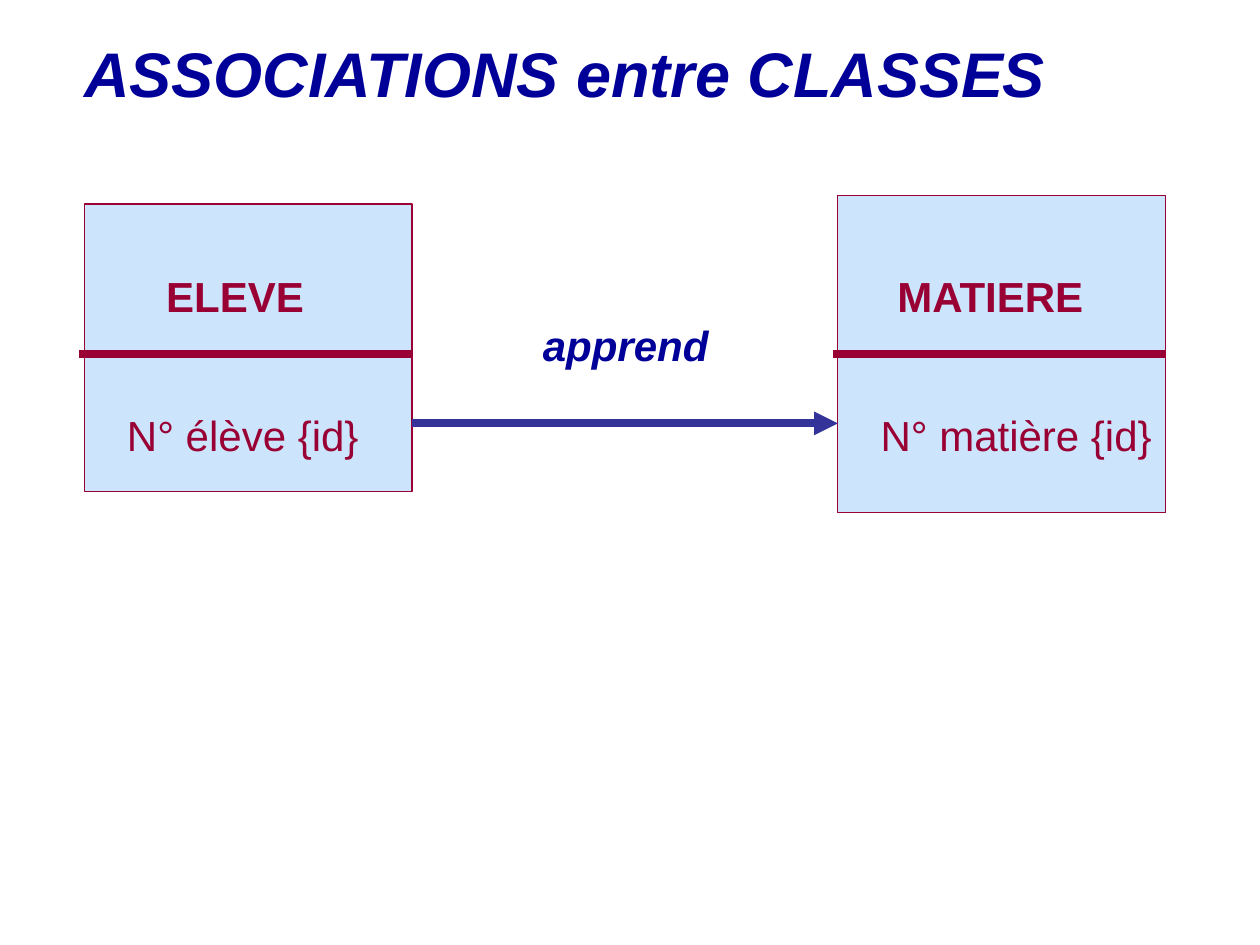
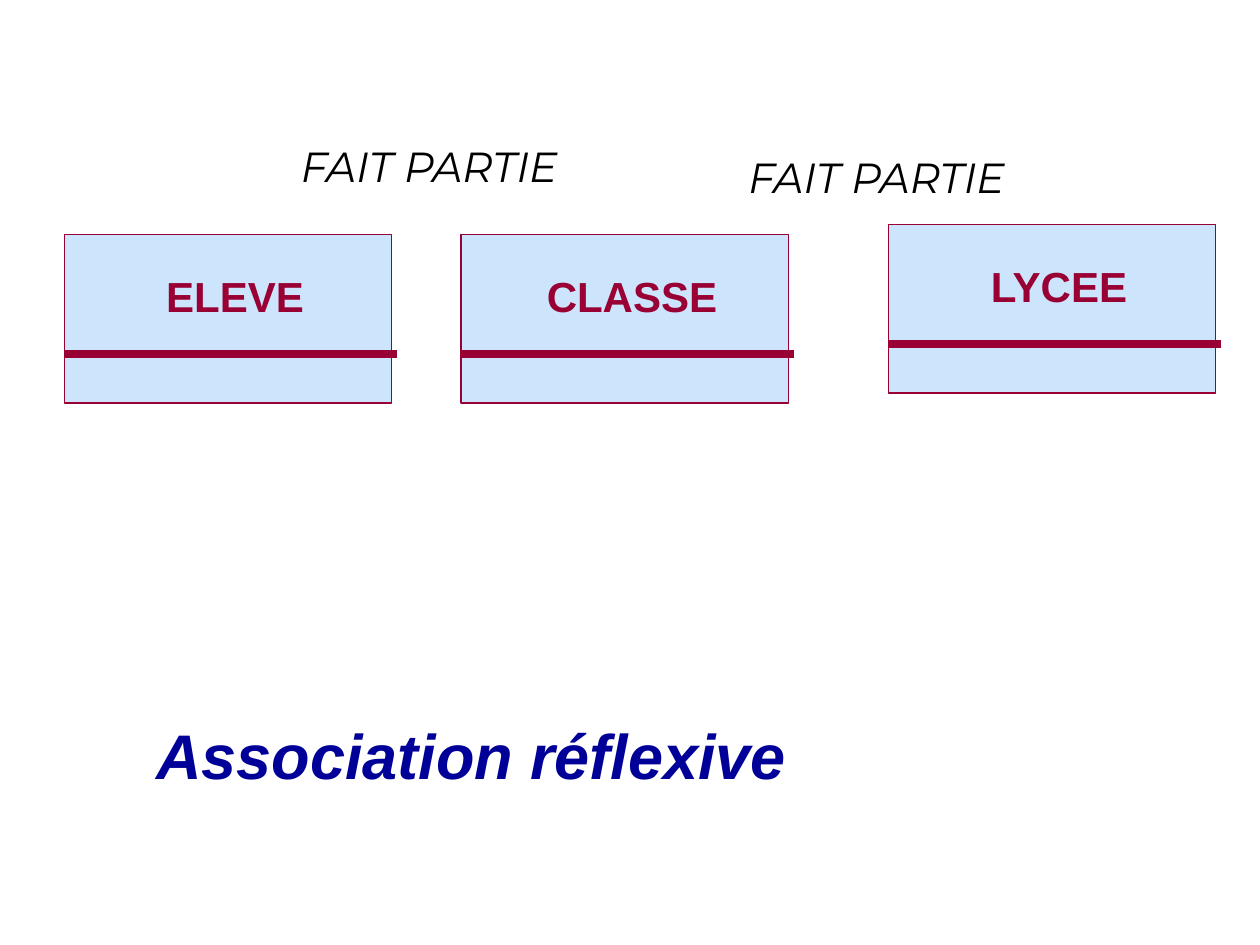
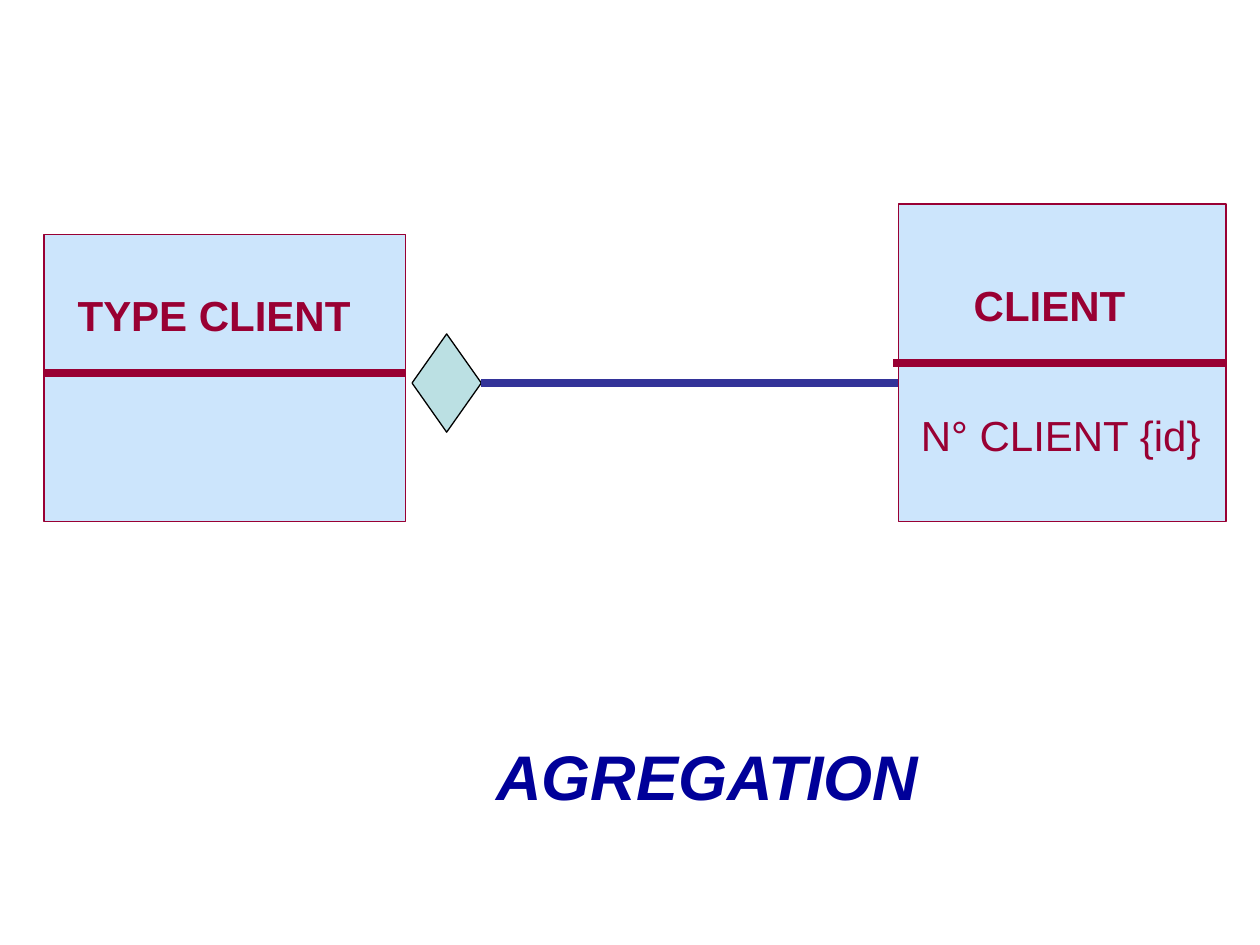
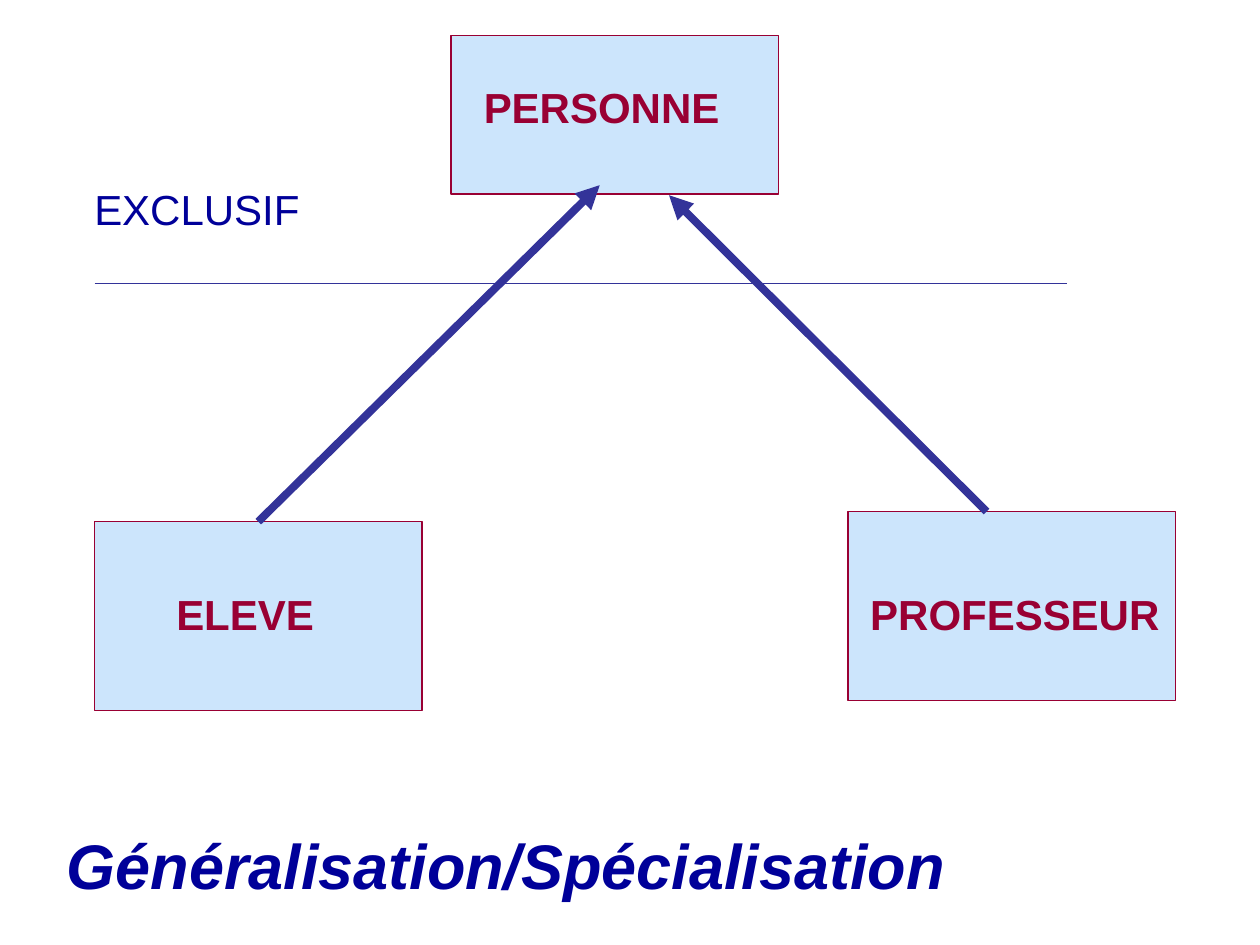
"""Build four slides of class diagrams: association, membership, aggregation, generalisation."""
from lxml import etree
from pptx import Presentation
from pptx import util as u
from pptx.dml.color import RGBColor
from pptx.enum import shapes, text
from pptx.oxml.ns import qn

COLORS = {"box": "CCE5FC", "class": "990033", "title": "000099",
          "link": "333399", "diamond": "BBE0E3", "black": "000000"}
TEXT_HEIGHT = {24: 0.5, 36: 0.7}
BOX_WIDTH = 2.6
OVERHANG = 0.04
NAME_ABOVE_DIVIDER = 0.71
ATTRIBUTE_TOP = 3.2
THICK, THIN = 4.5, 0.75

SLIDES = [
    {"title": ("ASSOCIATIONS entre CLASSES", 0.57, 0.22, 8.1),
     "classes": [
         {"name": ("ELEVE", 1.22, 1.29), "at": (0.67, 1.62), "height": 2.28,
          "divider": 2.81, "overhang": "left", "attribute": ("N° élève {id}", 0.91, 2.04)},
         {"name": ("MATIERE", 7.01, 1.7), "at": (6.65, 1.55), "height": 2.52,
          "divider": 2.81, "overhang": "left", "attribute": ("N° matière {id}", 6.89, 2.35)}],
     "links": [{"start": (3.27, 3.36), "end": (6.65, 3.36), "arrow": True}],
     "labels": [("apprend", 4.21, 2.49, 1.51, {"bold": True, "italic": True})]},
    {"title": ("Association réflexive", 1.14, 5.64, 5.4),
     "classes": [
         {"name": ("ELEVE", 1.22, 1.29), "at": (0.51, 1.86), "height": 1.34,
          "divider": 2.81, "overhang": "right"},
         {"name": ("CLASSE", 4.24, 1.55), "at": (3.66, 1.86), "height": 1.34,
          "divider": 2.81, "overhang": "right"},
         {"name": ("LYCEE", 7.75, 1.31), "at": (7.05, 1.78), "height": 1.34,
          "divider": 2.73, "overhang": "right"}],
     "labels": [("FAIT PARTIE", left, top, 2.32,
                 {"font": "Montserrat", "italic": True, "color": "black", "outline": True})
                for left, top in ((2.29, 1.07), (5.84, 1.15))]},
    {"title": ("AGREGATION", 3.84, 5.8, 3.8),
     "classes": [
         {"name": ("TYPE CLIENT", 0.52, 2.36), "at": (0.35, 1.86), "width": 2.87,
          "height": 2.28, "divider": 2.96},
         {"name": ("CLIENT", 7.63, 1.4), "at": (7.13, 1.62), "height": 2.52,
          "divider": 2.88, "overhang": "left", "attribute": ("N° CLIENT {id}", 7.21, 2.42)}],
     "diamond": (3.27, 2.65, 0.55, 0.78),
     "links": [{"start": (3.82, 3.04), "end": (7.13, 3.04), "join": ("diamond", 3)}]},
    {"title": ("Généralisation/Spécialisation", 0.43, 6.51, 7.4),
     "classes": [
         {"name": ("ELEVE", 1.3, 1.29), "at": (0.75, 4.14), "height": 1.5, "name_top": 4.62},
         {"name": ("PROFESSEUR", 6.81, 2.49), "at": (6.73, 4.06), "height": 1.5,
          "name_top": 4.62},
         {"name": ("PERSONNE", 3.74, 2.07), "at": (3.58, 0.28), "height": 1.26,
          "name_top": 0.6}],
     "links": [
         {"start": (2.05, 4.14), "end": (4.76, 1.47), "arrow": True, "join": ("ELEVE", 0)},
         {"start": (7.83, 4.06), "end": (5.31, 1.55), "arrow": True},
         {"start": (0.75, 2.25), "end": (8.47, 2.25), "weight": THIN}],
     "labels": [("EXCLUSIF", 0.65, 1.41, 1.83, {})]},
]


def rgb(key):
    return RGBColor.from_string(COLORS[key])


def write(slide, words, left, top, width, *, holder=None, size=24, font="Arial",
          color="title", bold=False, italic=False, centred=False, outline=False):
    place = [u.Inches(n) for n in (left, top, width, TEXT_HEIGHT[size])]
    if holder is None:
        holder = slide.shapes.add_textbox(*place)
    holder.left, holder.top, holder.width, holder.height = place
    frame = holder.text_frame
    frame.word_wrap = False
    frame.auto_size = text.MSO_AUTO_SIZE.NONE
    frame.vertical_anchor = text.MSO_ANCHOR.TOP
    paragraph = frame.paragraphs[0]
    paragraph.alignment = text.PP_ALIGN.CENTER if centred else text.PP_ALIGN.LEFT
    run = paragraph.add_run()
    run.text = words
    run.font.name, run.font.size = font, u.Pt(size)
    run.font.bold, run.font.italic = bold, italic
    run.font.color.rgb = rgb(color)
    if outline:
        stroke = etree.Element(qn("a:ln"), w=str(u.Pt(THIN)))
        fill = etree.SubElement(stroke, qn("a:solidFill"))
        etree.SubElement(fill, qn("a:srgbClr"), val=COLORS[color])
        run.font._element.insert(0, stroke)


def draw_shape(slide, preset, place, fill, border):
    shape = slide.shapes.add_shape(preset, *[u.Inches(n) for n in place])
    shape.shadow.inherit = False
    shape.fill.solid()
    shape.fill.fore_color.rgb = rgb(fill)
    shape.line.color.rgb = rgb(border)
    shape.line.width = u.Pt(THIN)
    return shape


def draw_line(slide, start, end, color="link", weight=THICK, arrow=False):
    line = slide.shapes.add_connector(shapes.MSO_CONNECTOR.STRAIGHT,
                                      *[u.Inches(n) for n in (*start, *end)])
    line.line.color.rgb = rgb(color)
    line.line.width = u.Pt(weight)
    if arrow:
        etree.SubElement(line.line._get_or_add_ln(), qn("a:tailEnd"), type="triangle")
    etree.SubElement(line._element.spPr, qn("a:effectLst"))
    return line


def draw_class(slide, entry):
    left, top = entry["at"]
    width = entry.get("width", BOX_WIDTH)
    box = draw_shape(slide, shapes.MSO_SHAPE.RECTANGLE,
                     (left, top, width, entry["height"]), "box", "class")
    divider = entry.get("divider")
    if divider:
        side = entry.get("overhang")
        start = left - OVERHANG * (side == "left")
        end = left + width + OVERHANG * (side == "right")
        draw_line(slide, (start, divider), (end, divider), "class")
        name_top = divider - NAME_ABOVE_DIVIDER
    else:
        name_top = entry["name_top"]
    name, name_left, name_width = entry["name"]
    write(slide, name, name_left, name_top, name_width,
          color="class", bold=True, centred=True)
    if "attribute" in entry:
        attribute, attribute_left, attribute_width = entry["attribute"]
        write(slide, attribute, attribute_left, ATTRIBUTE_TOP, attribute_width, color="class")
    return box


def build_slide(deck, content):
    slide = deck.slides.add_slide(deck.slide_layouts[5])
    write(slide, *content["title"], holder=slide.shapes.title,
          size=36, bold=True, italic=True)
    parts = {entry["name"][0]: draw_class(slide, entry) for entry in content["classes"]}
    if "diamond" in content:
        parts["diamond"] = draw_shape(slide, shapes.MSO_SHAPE.DIAMOND,
                                      content["diamond"], "diamond", "black")
    for link in content.get("links", []):
        line = draw_line(slide, link["start"], link["end"],
                         weight=link.get("weight", THICK), arrow=link.get("arrow", False))
        if "join" in link:
            part, side = link["join"]
            line.begin_connect(parts[part], side)
    for words, left, top, width, style in content.get("labels", []):
        write(slide, words, left, top, width, **style)


def main():
    deck = Presentation()
    deck.slide_width, deck.slide_height = u.Inches(10), u.Inches(7.5)
    for content in SLIDES:
        build_slide(deck, content)
    deck.save("out.pptx")


if __name__ == "__main__":
    main()
